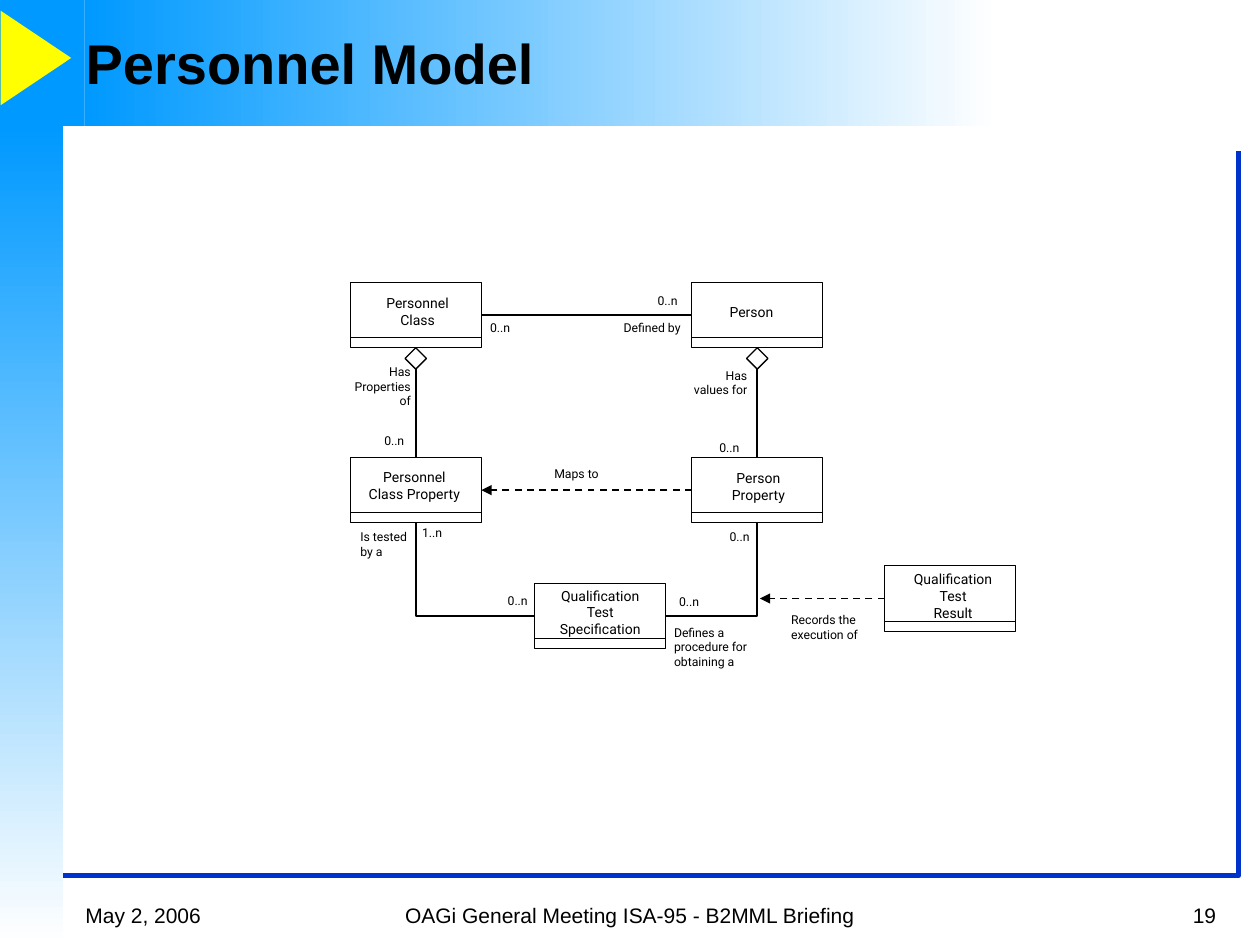
from lxml import etree
from pptx import Presentation
from pptx.dml.color import RGBColor
from pptx.enum import dml, shapes, text
from pptx.oxml import ns
from pptx.util import Inches, Pt

BLACK, WHITE, SKY, YELLOW, NAVY = "000000", "FFFFFF", "0099FF", "FFFF00", "0033CC"
LEFT, CENTER, RIGHT = text.PP_ALIGN.LEFT, text.PP_ALIGN.CENTER, text.PP_ALIGN.RIGHT
BOX_WIDTH, BOX_HEIGHT, DIVIDER_DROP = 1.04, 0.52, 0.44
DIAMOND_SIZE = 0.17
BOTTOM_SIDE, LEFT_SIDE, RIGHT_SIDE, TOP_SIDE = 2, 1, 3, 0


def color(value):
    """Turn a hex string into a colour."""
    return RGBColor.from_string(value)


def add_shape(page, kind, place, fill, line=None):
    """Add a preset shape with a plain fill and an optional black outline."""
    shape = page.shapes.add_shape(kind, *map(Inches, place))
    shape.shadow.inherit = False
    shape.fill.solid()
    shape.fill.fore_color.rgb = color(fill)
    if line:
        shape.line.color.rgb = color(BLACK)
        shape.line.width = Pt(line)
    else:
        shape.line.fill.background()
    return shape


def add_gradient_band(page, place, angle):
    """Add a band that fades from sky blue to white."""
    band = add_shape(page, shapes.MSO_SHAPE.RECTANGLE, place, SKY)
    band.fill.gradient()
    band.fill.gradient_angle = angle
    for stop, value in zip(band.fill.gradient_stops, (SKY, WHITE)):
        stop.color.rgb = color(value)


def add_frame(page):
    """Draw the coloured bands, the triangle and the corner rule."""
    rectangle = shapes.MSO_SHAPE.RECTANGLE
    add_gradient_band(page, (0.67, 0, 7.25, 1), 0)
    add_gradient_band(page, (0, 1, 0.5, 6.5), 270)
    add_shape(page, rectangle, (0, 0, 0.67, 1), SKY)
    triangle = add_shape(page, shapes.MSO_SHAPE.ISOSCELES_TRIANGLE,
                         (-0.09, 0.18, 0.75, 0.56), YELLOW)
    triangle.rotation = 90
    builder = page.shapes.build_freeform(Inches(0.5), Inches(6.95))
    corners = [(Inches(9.83), Inches(6.95)), (Inches(9.83), Inches(1.2))]
    builder.add_line_segments(corners, close=False)
    rule = builder.convert_to_shape()
    rule.shadow.inherit = False
    rule.fill.background()
    rule.line.color.rgb = color(NAVY)
    rule.line.width = Pt(3)


def format_text(frame, size, font, align, bold=False):
    """Format every paragraph of a text frame alike."""
    for paragraph in frame.paragraphs:
        paragraph.alignment = align
        for span in paragraph.runs:
            span.font.size = Pt(size)
            span.font.name = font
            span.font.bold = bold
            span.font.color.rgb = color(BLACK)


def add_title(page, words):
    """Place the title in front of the bands."""
    title = page.shapes.title
    title.left, title.top, title.width, title.height = map(Inches, (0.58, 0.08, 7.33, 0.83))
    frame = title.text_frame
    frame.text = words
    frame.auto_size = text.MSO_AUTO_SIZE.NONE
    frame.vertical_anchor = text.MSO_ANCHOR.MIDDLE
    format_text(frame, 32, "Arial", LEFT, bold=True)
    title.element.getparent().append(title.element)


def add_label(page, words, place, size=7, align=LEFT):
    """Add a diagram label without margins."""
    frame = page.shapes.add_textbox(*map(Inches, place)).text_frame
    frame.margin_left = frame.margin_right = frame.margin_top = frame.margin_bottom = 0
    frame.word_wrap = False
    frame.text = words
    format_text(frame, size, "Roboto", align)


def add_footer(page, words, left, width, align):
    """Add one part of the footer line."""
    place = map(Inches, (left, 7.08, width, 0.33))
    frame = page.shapes.add_textbox(*place).text_frame
    frame.word_wrap = True
    frame.vertical_anchor = text.MSO_ANCHOR.BOTTOM
    frame.text = words
    format_text(frame, 12, "Arial", align)


def finish_line(line, width, dashed=False):
    """Make a connector black and flat, or dashed with an arrowhead."""
    line.line.color.rgb = color(BLACK)
    line.line.width = Pt(width)
    properties = line.element.spPr
    if dashed:
        line.line.dash_style = dml.MSO_LINE.DASH
        head = etree.SubElement(properties.find(ns.qn("a:ln")), ns.qn("a:tailEnd"))
        head.set("type", "triangle")
    etree.SubElement(properties, ns.qn("a:effectLst"))


def add_class_box(page, left, top):
    """Add a class rectangle with its divider line."""
    box = add_shape(page, shapes.MSO_SHAPE.RECTANGLE,
                    (left, top, BOX_WIDTH, BOX_HEIGHT), WHITE, 0.62)
    height = Inches(top + DIVIDER_DROP)
    divider = page.shapes.add_connector(shapes.MSO_CONNECTOR.STRAIGHT, Inches(left), height,
                                        Inches(left + BOX_WIDTH), height)
    finish_line(divider, 0.62)
    return box


def join_boxes(page, start, start_side, end, end_side, bent=False, dashed=False):
    """Join the sides of two class boxes."""
    kind = shapes.MSO_CONNECTOR.ELBOW if bent else shapes.MSO_CONNECTOR.STRAIGHT
    line = page.shapes.add_connector(kind, 0, 0, 0, 0)
    line.begin_connect(start, start_side)
    line.end_connect(end, end_side)
    if bent:
        line.element.spPr.find(ns.qn("a:prstGeom")).set("prst", "bentConnector2")
    finish_line(line, 1, dashed)


def add_relations(page):
    """Draw the class boxes and the lines between them."""
    personnel_class = add_class_box(page, 2.78, 2.24)
    person = add_class_box(page, 5.49, 2.24)
    class_property = add_class_box(page, 2.78, 3.63)
    person_property = add_class_box(page, 5.49, 3.63)
    specification = add_class_box(page, 4.24, 4.63)
    result = add_class_box(page, 7.02, 4.49)

    join_boxes(page, personnel_class, RIGHT_SIDE, person, LEFT_SIDE)
    join_boxes(page, personnel_class, BOTTOM_SIDE, class_property, TOP_SIDE)
    join_boxes(page, person, BOTTOM_SIDE, person_property, TOP_SIDE)
    join_boxes(page, person_property, LEFT_SIDE, class_property, RIGHT_SIDE, dashed=True)
    join_boxes(page, specification, LEFT_SIDE, class_property, BOTTOM_SIDE, bent=True)
    join_boxes(page, specification, RIGHT_SIDE, person_property, BOTTOM_SIDE, bent=True)
    record = page.shapes.add_connector(shapes.MSO_CONNECTOR.STRAIGHT, Inches(7.02),
                                       Inches(4.75), Inches(6.03), Inches(4.75))
    record.begin_connect(result, LEFT_SIDE)
    finish_line(record, 1, dashed=True)
    for middle in (3.3, 6.01):
        place = (middle - DIAMOND_SIZE / 2, 2.76, DIAMOND_SIZE, DIAMOND_SIZE)
        add_shape(page, shapes.MSO_SHAPE.DIAMOND, place, WHITE, 0.75)


def add_labels(page):
    """Write the class names, the roles and the multiplicities."""
    names = [
        ("Personnel\nClass", (3.05, 2.34, 0.53, 0.27)),
        ("Person", (5.78, 2.41, 0.37, 0.13)),
        ("Personnel\nClass Property", (2.91, 3.72, 0.76, 0.27)),
        ("Person\nProperty", (5.79, 3.73, 0.46, 0.27)),
        ("Qualification\nTest\nSpecification", (4.43, 4.66, 0.67, 0.4)),
        ("Qualification\nTest\nResult", (7.23, 4.53, 0.67, 0.4)),
    ]
    roles = [
        ("Has\nProperties\nof", (2.79, 2.89, 0.47, 0.35), RIGHT),
        ("Has\nvalues for", (5.48, 2.92, 0.45, 0.23), RIGHT),
        ("Defined by", (4.95, 2.54, 0.49, 0.12), LEFT),
        ("Maps to", (4.4, 3.7, 0.37, 0.12), LEFT),
        ("Is tested\nby a", (2.86, 4.2, 0.39, 0.23), LEFT),
        ("Defines a\nprocedure for\nobtaining a", (5.35, 4.96, 0.63, 0.35), LEFT),
        ("Records the\nexecution of", (6.28, 4.86, 0.56, 0.23), LEFT),
    ]
    many = [(5.22, 2.33), (3.89, 2.54), (3.05, 3.44), (5.71, 3.49),
            (5.79, 4.2), (4.03, 4.71), (5.39, 4.72)]
    for words, place in names:
        add_label(page, words, place, 8, CENTER)
    for words, place, align in roles:
        add_label(page, words, place, align=align)
    for left, top in many:
        add_label(page, "0..n", (left, top, 0.17, 0.12))
    add_label(page, "1..n", (3.35, 4.17, 0.17, 0.12))


def main():
    """Build the personnel model slide."""
    deck = Presentation()
    deck.slide_width, deck.slide_height = Inches(10), Inches(7.5)
    page = deck.slides.add_slide(deck.slide_layouts[5])
    add_frame(page)
    add_title(page, "Personnel Model")
    add_relations(page)
    add_labels(page)
    add_footer(page, "May 2, 2006", 0.58, 2.08, LEFT)
    add_footer(page, "OAGi General Meeting ISA-95 - B2MML Briefing", 2.75, 4.5, CENTER)
    add_footer(page, "19", 7.67, 2.08, RIGHT)
    deck.save("out.pptx")


if __name__ == "__main__":
    main()
